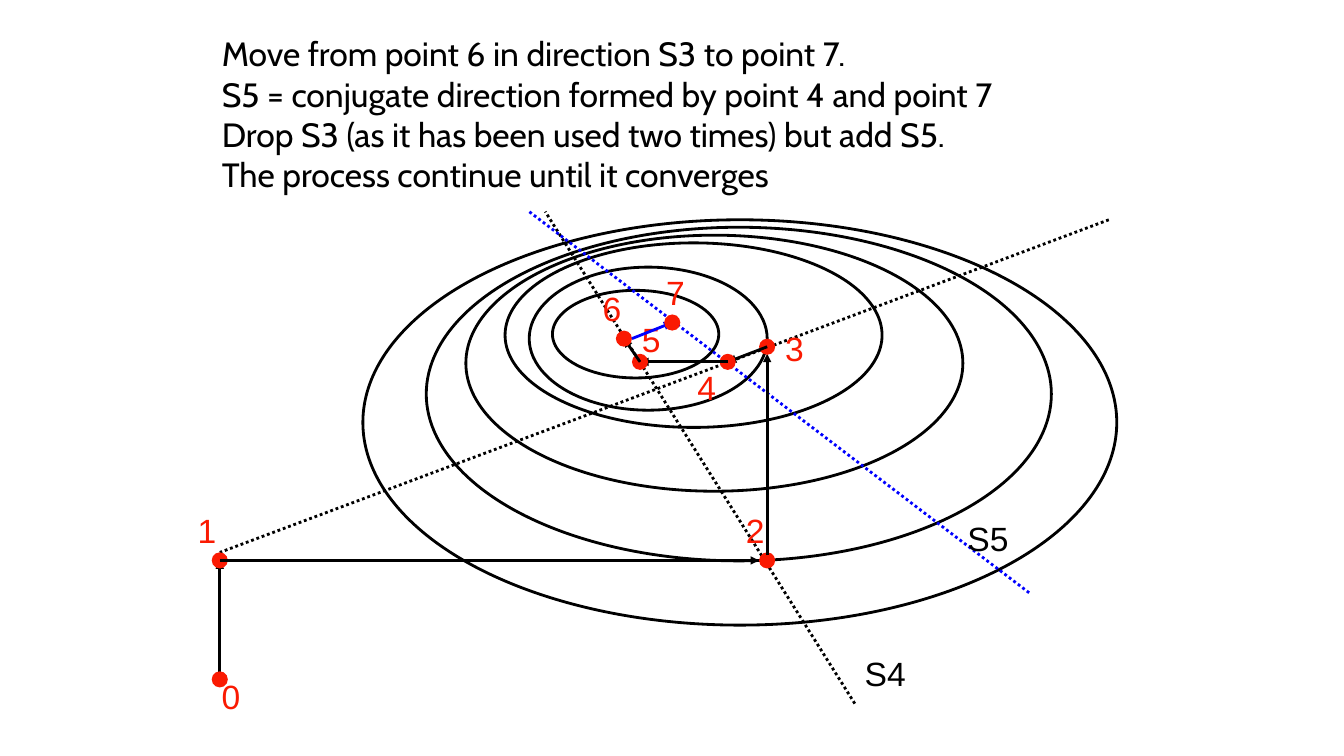
"""Build a slide showing successive conjugate directions on nested contours."""
from dataclasses import dataclass
from typing import Optional

from lxml.etree import SubElement
from pptx import Presentation
from pptx.dml.color import RGBColor
from pptx.enum.dml import MSO_LINE_DASH_STYLE as Dash
from pptx.enum.shapes import MSO_CONNECTOR as Connector, MSO_SHAPE as Shape
from pptx.enum.text import MSO_ANCHOR as Anchor, MSO_AUTO_SIZE as AutoSize, PP_ALIGN as Align
from pptx.oxml.ns import qn
from pptx.util import Pt

Point = tuple[float, float]


@dataclass(frozen=True)
class Theme:
    black: RGBColor = RGBColor(0, 0, 0)
    red: RGBColor = RGBColor(0xFA, 0x1A, 0x02)
    blue: RGBColor = RGBColor(0, 0, 0xFF)
    body_font: str = "Cabin"
    label_font: str = "Arial"
    text_size: float = 24
    line_width: float = 2
    dot_size: float = 11.5


THEME = Theme()


@dataclass(frozen=True)
class Contour:
    left: float
    top: float
    width: float
    height: float


@dataclass(frozen=True)
class Line:
    start: Point
    end: Point
    color: RGBColor = THEME.black
    dotted: bool = False


@dataclass(frozen=True)
class Label:
    text: str
    left: float
    top: float
    width: float = 23
    color: RGBColor = THEME.red
    wrap: bool = True


@dataclass(frozen=True)
class Stop:
    center: Point
    label: Label
    arrow: Optional[Line] = None


STATEMENTS = [
    "Move from point 6 in direction S3 to point 7.",
    "S5 = conjugate direction formed by point 4 and point 7",
    "Drop S3 (as it has been used two times) but add S5.",
    "The process continue until it converges",
]
CONTOURS = [
    Contour(259.2, 157, 538.5, 289.5),
    Contour(304.5, 162.3, 446.5, 238.3),
    Contour(332.8, 168, 355, 182.9),
    Contour(360.8, 173.5, 269.3, 131.8),
    Contour(378, 190.8, 170, 102.2),
    Contour(394.6, 207.4, 118.8, 62.6),
]
DIRECTIONS = [
    Line((792, 157), (157, 394.6), dotted=True),
    Line((610.6, 502.6), (389.5, 151.2), dotted=True),
    Line((735.1, 423.4), (378, 151.2), THEME.blue, dotted=True),
]
DIRECTION_LABELS = [
    Label("S4", 610.6, 463, 44, THEME.black, wrap=False),
    Label("S5", 684, 366.5, 44, THEME.black, wrap=False),
]
P0, P1, P2, P3 = (157, 485.3), (157, 400.3), (548, 400.3), (548, 247.7)
P4, P5, P6, P7 = (519.8, 258.5), (457.2, 258.5), (445.7, 241.9), (480.2, 230.4)
STOPS = [
    Stop(P1, Label("1", 134, 360.7), Line(P0, P1)),
    Stop(P2, Label("2", 525.6, 360.7), Line(P1, (542.2, 400.3))),
    Stop(P3, Label("3", 553.7, 230.4), Line((548, 396.7), (548, 252.7))),
    Stop(P4, Label("4", 491, 258.5), Line(P3, P4)),
    Stop(P5, Label("5", 451.4, 224.6), Line(P4, P5)),
    Stop(P6, Label("6", 423.4, 202.3), Line(P5, P6)),
    Stop(P7, Label("7", 468.7, 190.8), Line((451.4, 241.9), P7, THEME.blue)),
    Stop(P0, Label("0", 151.2, 479.5)),
]


def style_text(para, font_name: str, color: RGBColor) -> None:
    para.alignment = Align.LEFT
    for span in para.runs:
        span.font.name = font_name
        span.font.size = Pt(THEME.text_size)
        span.font.color.rgb = color


def fill_body(body) -> None:
    body.left, body.top, body.width, body.height = Pt(151.2), Pt(20.2), Pt(658), Pt(124)
    frame = body.text_frame
    frame.text = "\n".join(STATEMENTS)
    frame.auto_size = AutoSize.SHAPE_TO_FIT_TEXT
    frame.vertical_anchor = Anchor.TOP
    for para in frame.paragraphs:
        properties = para._p.get_or_add_pPr()
        properties.set("marL", "0")
        properties.set("indent", "0")
        SubElement(properties, qn("a:buNone"))
        para.line_spacing = 1.0
        para.space_before = para.space_after = Pt(0)
        style_text(para, THEME.body_font, THEME.black)


def draw_ellipse(slide, left: float, top: float, width: float, height: float):
    ellipse = slide.shapes.add_shape(Shape.OVAL, Pt(left), Pt(top), Pt(width), Pt(height))
    ellipse.shadow.inherit = False
    return ellipse


def draw_contour(slide, contour: Contour) -> None:
    ellipse = draw_ellipse(slide, contour.left, contour.top, contour.width, contour.height)
    ellipse.fill.background()
    ellipse.line.color.rgb = THEME.black
    ellipse.line.width = Pt(THEME.line_width)


def draw_line(slide, line: Line) -> None:
    ends = [Pt(value) for value in (*line.start, *line.end)]
    connector = slide.shapes.add_connector(Connector.STRAIGHT, *ends)
    connector.line.color.rgb = line.color
    connector.line.width = Pt(THEME.line_width)
    if line.dotted:
        connector.line.dash_style = Dash.ROUND_DOT
    else:
        SubElement(connector.line._get_or_add_ln(), qn("a:tailEnd"), type="triangle")
    SubElement(connector._element.spPr, qn("a:effectLst"))


def draw_label(slide, label: Label) -> None:
    box = slide.shapes.add_textbox(Pt(label.left), Pt(label.top), Pt(label.width), Pt(36))
    frame = box.text_frame
    frame.text = label.text
    frame.word_wrap = label.wrap
    frame.auto_size = AutoSize.SHAPE_TO_FIT_TEXT
    style_text(frame.paragraphs[0], THEME.label_font, label.color)


def draw_stop(slide, stop: Stop) -> None:
    if stop.arrow:
        draw_line(slide, stop.arrow)
    size = THEME.dot_size
    x, y = stop.center
    dot = draw_ellipse(slide, x - size / 2, y - size / 2, size, size)
    dot.fill.solid()
    dot.fill.fore_color.rgb = THEME.red
    dot.line.fill.background()
    draw_label(slide, stop.label)


def main() -> None:
    deck = Presentation()
    deck.slide_width, deck.slide_height = Pt(960), Pt(540)
    page = deck.slides.add_slide(deck.slide_layouts[1])
    empty_title = page.shapes.title.element
    empty_title.getparent().remove(empty_title)
    fill_body(page.placeholders[1])
    for contour in CONTOURS:
        draw_contour(page, contour)
    for direction in DIRECTIONS:
        draw_line(page, direction)
    for stop in STOPS:
        draw_stop(page, stop)
    for label in DIRECTION_LABELS:
        draw_label(page, label)
    deck.save("out.pptx")


if __name__ == "__main__":
    main()
